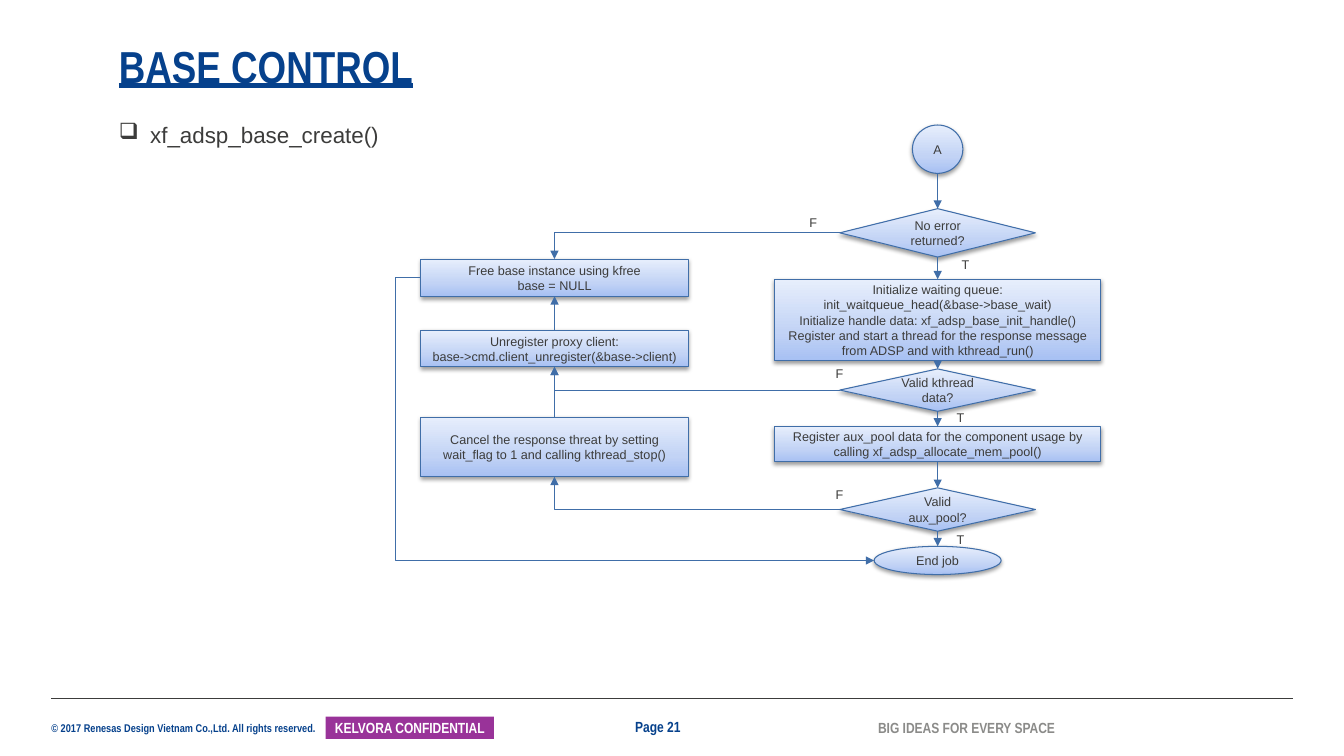
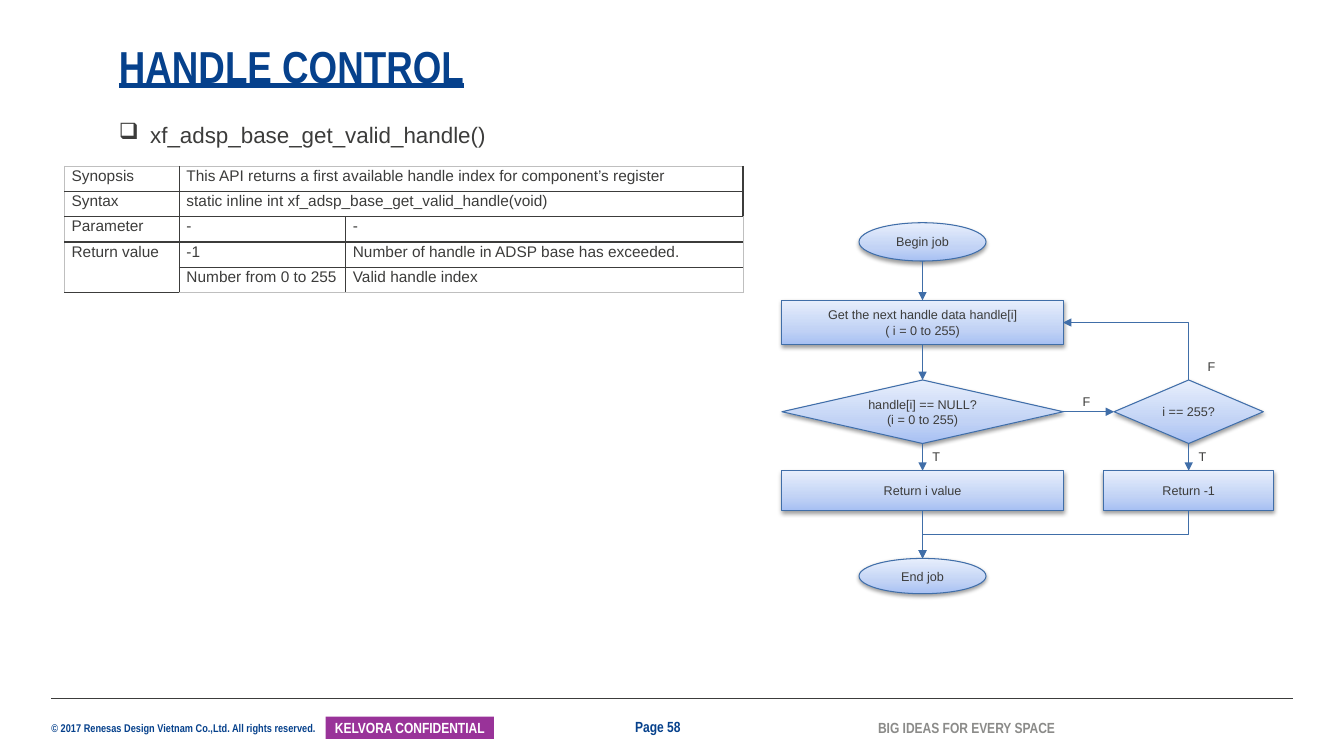
from copy import deepcopy
from dataclasses import dataclass

from pptx import Presentation
from pptx.dml.color import RGBColor
from pptx.enum.shapes import MSO_CONNECTOR, MSO_SHAPE
from pptx.enum.text import MSO_ANCHOR, PP_ALIGN
from pptx.oxml.ns import qn
from pptx.util import Inches, Pt
from lxml import etree

STRAIGHT, ELBOW = MSO_CONNECTOR.STRAIGHT, MSO_CONNECTOR.ELBOW
BOX, OVAL, DECISION = MSO_SHAPE.RECTANGLE, MSO_SHAPE.OVAL, MSO_SHAPE.FLOWCHART_DECISION
ANCHOR_TOP, MIDDLE, ANCHOR_BOTTOM = MSO_ANCHOR.TOP, MSO_ANCHOR.MIDDLE, MSO_ANCHOR.BOTTOM
ALIGN_LEFT, CENTER = PP_ALIGN.LEFT, PP_ALIGN.CENTER
TOP, LEFT, BOTTOM, RIGHT = range(4)


@dataclass(frozen=True)
class Theme:
    blue: str = "06418C"
    ink: str = "3C3C3B"
    purple: str = "993399"
    grey: str = "8B8B89"
    white: str = "FFFFFF"
    edge: str = "406EA8"
    frame: str = "BFBFBF"
    node_stops: tuple = ((0, "A7C0F3"), (0.35, "C2D3F5"), (1, "E7EEFC"))
    head_font: str = "Arial Narrow"
    body_font: str = "Arial"
    title: float = 32
    bullet: float = 16
    table: float = 11
    footer: float = 10.5
    node: float = 9
    legal: float = 8


THEME = Theme()
PAGE_W, PAGE_H = 13.33, 7.5
MARGIN = 0.51
INDENT = 0.31
DETOUR = 0.25

# Content: nodes are (kind, centre x, top, width, height, lines)
MAIN, CLEANUP = 9.3, 5.5
SEARCH, LIMIT = 9.15, 11.79
SLIDES = [
    {
        "title": "BASE CONTROL", "page": "Page 21", "function": "xf_adsp_base_create()",
        "nodes": {
            "start": (OVAL, MAIN, 1.24, 0.5, 0.48, ["A"]),
            "no error": (DECISION, MAIN, 2.07, 1.94, 0.48, ["No error returned?"]),
            "init": (BOX, MAIN, 2.77, 3.23, 0.81, [
                "Initialize waiting queue:",
                "init_waitqueue_head(&base->base_wait)",
                "Initialize handle data: xf_adsp_base_init_handle()",
                "Register and start a thread for the response message from ADSP and with kthread_run()"]),
            "kthread": (DECISION, MAIN, 3.66, 1.94, 0.42, ["Valid kthread data?"]),
            "register": (BOX, MAIN, 4.23, 3.23, 0.35, [
                "Register aux_pool data for the component usage by calling xf_adsp_allocate_mem_pool()"]),
            "pool": (DECISION, MAIN, 4.84, 1.94, 0.43, ["Valid aux_pool?"]),
            "end": (OVAL, MAIN, 5.42, 1.26, 0.28, ["End job"]),
            "free": (BOX, CLEANUP, 2.57, 2.65, 0.37, ["Free base instance using kfree", "base = NULL"]),
            "unregister": (BOX, CLEANUP, 3.28, 2.65, 0.36, [
                "Unregister proxy client:", "base->cmd.client_unregister(&base->client)"]),
            "cancel": (BOX, CLEANUP, 4.14, 2.65, 0.59, [
                "Cancel the response threat by setting wait_flag to 1 and calling kthread_stop()"]),
        },
        "flows": [
            ("start", BOTTOM, "no error", TOP), ("no error", BOTTOM, "init", TOP),
            ("init", BOTTOM, "kthread", TOP), ("kthread", BOTTOM, "register", TOP),
            ("register", BOTTOM, "pool", TOP), ("pool", BOTTOM, "end", TOP),
            ("no error", LEFT, "free", TOP), ("kthread", LEFT, "unregister", BOTTOM),
            ("pool", LEFT, "cancel", BOTTOM), ("cancel", TOP, "unregister", BOTTOM),
            ("unregister", TOP, "free", BOTTOM), ("free", LEFT, "end", LEFT),
        ],
        "labels": [("T", 9.44, 2.5), ("F", 7.93, 2.08), ("T", 9.39, 4.02),
                   ("F", 8.19, 3.58), ("T", 9.39, 5.23), ("F", 8.19, 4.78)],
    },
    {
        "title": "HANDLE CONTROL", "page": "Page 58", "function": "xf_adsp_base_get_valid_handle()",
        "nodes": {
            "begin": (OVAL, SEARCH, 2.21, 1.26, 0.38, ["Begin job"]),
            "next": (BOX, SEARCH, 2.98, 2.79, 0.44, ["Get the next handle data handle[i]", "( i = 0 to 255)"]),
            "is null": (DECISION, SEARCH, 3.77, 2.79, 0.63, ["handle[i] == NULL?", "(i = 0 to 255)"]),
            "found": (BOX, SEARCH, 4.67, 2.79, 0.39, ["Return i value"]),
            "end": (OVAL, SEARCH, 5.54, 1.26, 0.35, ["End job"]),
            "is last": (DECISION, LIMIT, 3.77, 1.48, 0.63, ["i == 255?"]),
            "failed": (BOX, LIMIT, 4.67, 1.69, 0.39, ["Return -1"]),
        },
        "flows": [
            ("begin", BOTTOM, "next", TOP), ("next", BOTTOM, "is null", TOP),
            ("is null", BOTTOM, "found", TOP), ("found", BOTTOM, "end", TOP),
            ("is null", RIGHT, "is last", LEFT), ("is last", TOP, "next", RIGHT),
            ("is last", BOTTOM, "failed", TOP), ("failed", BOTTOM, "end", TOP),
        ],
        "labels": [("F", 10.64, 3.86), ("T", 9.15, 4.4), ("F", 11.88, 3.51), ("T", 11.79, 4.4)],
        "table": {
            "at": (0.64, 1.65), "columns": (1.14, 1.65, 3.94), "row": 0.25,
            "rows": [
                ("Synopsis", "This API returns a first available handle index for component’s register", None),
                ("Syntax", "static inline int xf_adsp_base_get_valid_handle(void)", None),
                ("Parameter", "-", "-"),
                ("Return value", "-1", "Number of handle in ADSP base has exceeded."),
                (None, "Number from 0 to 255", "Valid handle index"),
            ],
            "merges": [((0, 1), (0, 2)), ((1, 1), (1, 2)), ((3, 0), (4, 0))],
        },
    },
]


def rgb(value):
    return RGBColor.from_string(value)


def child(parent, tag, **attributes):
    return etree.SubElement(parent, qn(tag), attributes)


# Text
def write(frame, lines, size, color=THEME.ink, font=THEME.body_font, bold=False,
          align=ALIGN_LEFT, anchor=ANCHOR_TOP, insets=None, wrap=True):
    frame.word_wrap, frame.vertical_anchor = wrap, anchor
    if insets is not None:
        frame.margin_left = frame.margin_right = Inches(insets)
        frame.margin_top = frame.margin_bottom = 0
    for index, line in enumerate(lines):
        paragraph = frame.paragraphs[0] if index == 0 else frame.add_paragraph()
        paragraph.alignment = align
        run = paragraph.add_run()
        run.text = line
        run.font.size, run.font.name, run.font.bold = Pt(size), font, bold
        run.font.color.rgb = rgb(color)
    return frame.paragraphs[0]


def add_text(slide, at, line, size, **style):
    box = slide.shapes.add_textbox(*map(Inches, at))
    return write(box.text_frame, [line], size, **style)


def style_line(connector, color, width):
    connector.line.color.rgb, connector.line.width = rgb(color), Pt(width)
    properties = connector._element.spPr
    child(properties, "a:effectLst")
    return properties


# Title, bullet and footer shared by the slides
def add_frame(slide, title, page, function):
    heading = dict(font=THEME.head_font, bold=True, insets=0)
    rule = slide.shapes.add_connector(STRAIGHT, *map(Inches, (MARGIN, 6.93, PAGE_W - MARGIN, 6.93)))
    style_line(rule, THEME.ink, 0.5)
    add_text(slide, (MARGIN, 7.16, 2.67, 0.13),
             "© 2017 Renesas Design Vietnam Co.,Ltd. All rights reserved.",
             THEME.legal, color=THEME.blue, wrap=False, **heading)
    badge = slide.shapes.add_shape(BOX, *map(Inches, (3.23, 7.11, 1.67, 0.22)))
    badge.shadow.inherit = False
    badge.fill.solid()
    badge.fill.fore_color.rgb = rgb(THEME.purple)
    badge.line.fill.background()
    write(badge.text_frame, ["KELVORA CONFIDENTIAL"], THEME.footer, color=THEME.white,
          align=CENTER, anchor=MIDDLE, **{**heading, "insets": 0.04})
    add_text(slide, (8.71, 7.13, 1.8, 0.18), "BIG IDEAS FOR EVERY SPACE", THEME.footer,
             color=THEME.grey, anchor=MIDDLE, **heading)
    add_text(slide, (6.3, 7.12, 0.73, 0.18), page, THEME.footer,
             color=THEME.blue, anchor=MIDDLE, **heading)
    headline = add_text(slide, (1.18, 0.44, 10.84, 0.48), title, THEME.title,
                        color=THEME.blue, anchor=ANCHOR_BOTTOM, **heading)
    headline.line_spacing = 0.9
    headline.runs[0].font.underline = True

    bullet = add_text(slide, (1.18, 1.15, 6.51, 0.32), function, THEME.bullet, insets=0)
    properties = bullet._p.get_or_add_pPr()
    properties.set("marL", str(Inches(INDENT)))
    properties.set("indent", str(-Inches(INDENT)))
    child(child(properties, "a:buClr"), "a:srgbClr", val=THEME.ink)
    child(properties, "a:buChar", char="❑")
    bullet.line_spacing, bullet.space_after = 1.2, Pt(8)


# Flowchart
def add_node(slide, kind, centre, top, width, height, lines):
    node = slide.shapes.add_shape(kind, *map(Inches, (centre - width / 2, top, width, height)))
    node.fill.gradient()
    node.fill.gradient_angle = 90
    properties = node._element.spPr
    stops = properties.find(qn("a:gradFill")).find(qn("a:gsLst"))
    stops.append(deepcopy(stops[0]))
    for stop, (position, color) in zip(node.fill.gradient_stops, THEME.node_stops):
        stop.position, stop.color.rgb = position, rgb(color)
    node.line.color.rgb, node.line.width = rgb(THEME.edge), Pt(0.75)
    node.shadow.inherit = False
    shadow = child(properties.find(qn("a:effectLst")), "a:outerShdw", blurRad=str(Pt(3.1)),
                   dist=str(Pt(1.6)), dir="5400000", rotWithShape="0")
    child(child(shadow, "a:srgbClr", val="000000"), "a:alpha", val="38000")
    write(node.text_frame, lines, THEME.node, align=CENTER, anchor=MIDDLE)
    return node


def side_point(node, side):
    across, down = {TOP: (0.5, 0), LEFT: (0, 0.5), BOTTOM: (0.5, 1), RIGHT: (1, 0.5)}[side]
    return int(node.left + across * node.width), int(node.top + down * node.height)


def site(node, side):
    """Connection site; an oval has eight, counted in half steps."""
    return side * 2 if node.auto_shape_type == OVAL else side


def add_flow(slide, source, out_side, target, in_side):
    x1, y1 = side_point(source, out_side)
    x2, y2 = side_point(target, in_side)
    vertical = out_side in (TOP, BOTTOM)
    same_axis = vertical == (in_side in (TOP, BOTTOM))
    straight = same_axis and abs(x2 - x1 if vertical else y2 - y1) < Inches(0.02)
    flow = slide.shapes.add_connector(STRAIGHT if straight else ELBOW, x1, y1, x2, y2)
    if site(source, out_side) <= RIGHT:
        flow.begin_connect(source, site(source, out_side))
    if site(target, in_side) <= RIGHT:
        flow.end_connect(target, site(target, in_side))
        flow.end_x, flow.end_y = x2, y2
    properties = style_line(flow, THEME.edge, 0.75)
    child(properties.find(qn("a:ln")), "a:tailEnd", type="triangle")
    if straight:
        return
    geometry = properties.find(qn("a:prstGeom"))
    if not same_axis:
        geometry.set("prst", "bentConnector2")
    elif out_side == in_side:
        adjust = round(-100000 * Inches(DETOUR) / abs(x2 - x1))
        child(geometry.find(qn("a:avLst")), "a:gd", name="adj1", fmla=f"val {adjust}")
    if vertical:
        # A quarter turn makes the first leg run up or down
        width, height = flow.width, flow.height
        flow.left += (width - height) // 2
        flow.top += (height - width) // 2
        flow.width, flow.height = height, width
        turn = properties.find(qn("a:xfrm"))
        turn.set("rot", "5400000")
        turn.set("flipH", str(int(y2 < y1)))
        turn.set("flipV", str(int(x2 > x1)))


# Table
def set_borders(cell, row, column, row_count, column_count):
    edges = (("a:lnL", column == 0), ("a:lnR", column == column_count - 1),
             ("a:lnT", row == 0), ("a:lnB", row == row_count - 1))
    properties = cell._tc.get_or_add_tcPr()
    for index, (tag, outer) in enumerate(edges):
        border = etree.Element(qn(tag), w=str(Pt(0.75 if outer else 1)))
        child(child(border, "a:solidFill"), "a:srgbClr", val=THEME.frame if outer else THEME.ink)
        properties.insert(index, border)


def add_reference(slide, at, columns, row, rows, merges):
    size = (sum(columns), row * len(rows))
    table = slide.shapes.add_table(len(rows), len(columns), *map(Inches, at + size)).table
    table.first_row = table.horz_banding = False
    for column, width in zip(table.columns, columns):
        column.width = Inches(width)
    for first, last in merges:
        table.cell(*first).merge(table.cell(*last))
    for r, texts in enumerate(rows):
        for c, text in enumerate(texts):
            cell = table.cell(r, c)
            cell.fill.background()
            cell.margin_left = cell.margin_right = Inches(0.07)
            cell.margin_top = cell.margin_bottom = 0
            set_borders(cell, r, c, len(rows), len(columns))
            if text:
                write(cell.text_frame, [text], THEME.table).line_spacing = 1.07


def main():
    deck = Presentation()
    deck.slide_width, deck.slide_height = Inches(PAGE_W), Inches(PAGE_H)
    for content in SLIDES:
        slide = deck.slides.add_slide(deck.slide_layouts[6])
        add_frame(slide, content["title"], content["page"], content["function"])
        if "table" in content:
            add_reference(slide, **content["table"])
        nodes = {name: add_node(slide, *node) for name, node in content["nodes"].items()}
        for source, out_side, target, in_side in content["flows"]:
            add_flow(slide, nodes[source], out_side, nodes[target], in_side)
        for label, left, top in content["labels"]:
            add_text(slide, (left, top, 0.3, 0.25), label, THEME.node)
    deck.save("out.pptx")


if __name__ == "__main__":
    main()
